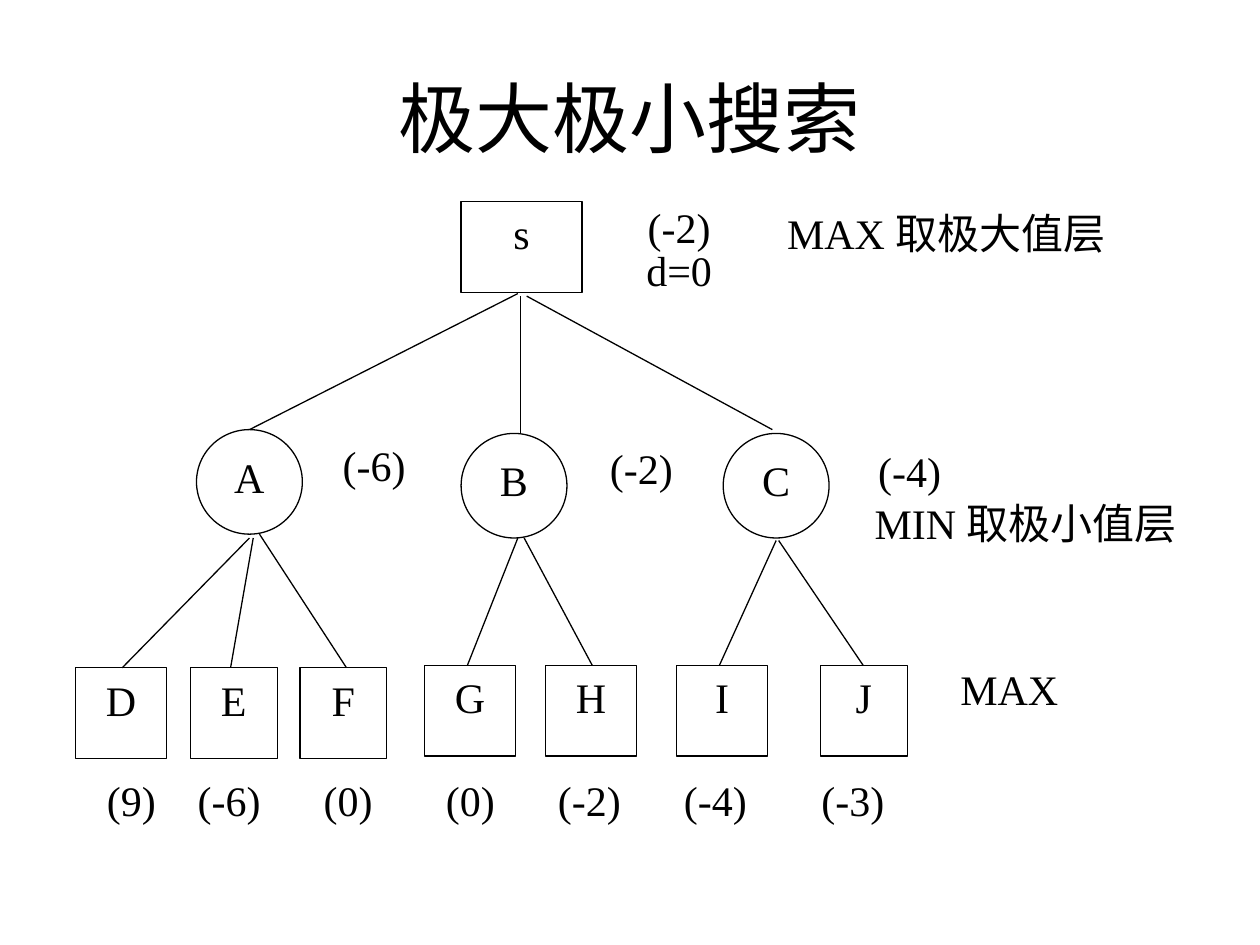
from dataclasses import dataclass

from lxml.etree import SubElement
from pptx import Presentation
from pptx.dml.color import RGBColor as RGB
from pptx.enum.shapes import MSO_CONNECTOR as Link, MSO_SHAPE as Kind
from pptx.enum.text import MSO_ANCHOR as Anchor, PP_ALIGN as Align
from pptx.oxml.ns import qn
from pptx.util import Inches, Pt


@dataclass(frozen=True)
class Theme:
    """Hold the colours, fonts and sizes."""
    ink: RGB = RGB(0, 0, 0)
    paper: RGB = RGB(255, 255, 255)
    head: str = "Calibri"
    body: str = "Times New Roman"
    big: Pt = Pt(44)
    base: Pt = Pt(24)
    rule: Pt = Pt(0.75)


LOOK = Theme()
BOXES = [
    ("s", 3.66, 1.6, 0.96),
    ("D", 0.6, 5.3, 0.72), ("E", 1.51, 5.3, 0.69), ("F", 2.38, 5.3, 0.69),
    ("G", 3.37, 5.28, 0.72), ("H", 4.33, 5.28, 0.72),
    ("I", 5.37, 5.28, 0.72), ("J", 6.51, 5.28, 0.69),
]
DISCS = [("A", 1.56, 3.41), ("B", 3.66, 3.44), ("C", 5.74, 3.44)]
EDGES = [
    (4.11, 2.33, 1.98, 3.41), (4.13, 2.35, 4.13, 3.44),
    (4.18, 2.35, 6.13, 3.41),
    (1.98, 4.27, 0.97, 5.3), (2.01, 4.27, 1.83, 5.3),
    (2.06, 4.24, 2.75, 5.3),
    (4.11, 4.27, 3.71, 5.28), (4.16, 4.27, 4.7, 5.28),
    (6.16, 4.29, 5.71, 5.28), (6.18, 4.29, 6.85, 5.28),
]
NOTES = [
    ("(-2)", 4.7, 1.55, 1.38), ("d=0", 4.7, 1.89, 1.38),
    ("MAX 取极大值层", 5.99, 1.6, 3.04),
    ("(-6)", 2.28, 3.44, 1.38), ("(-2)", 4.4, 3.46, 1.38),
    ("(-4)", 6.53, 3.49, 1.38), ("MIN 取极小值层", 6.78, 3.9, 2.72),
    ("MAX", 7.32, 5.22, 1.38),
]
SCORES = [
    ("(9)", 0.25), ("(-6)", 0.97), ("(0)", 1.97), ("(0)", 2.94),
    ("(-2)", 3.83), ("(-4)", 4.83), ("(-3)", 5.92),
]


def style(para, face=LOOK.body, size=LOOK.base, align=Align.CENTER):
    """Set the font and alignment of a paragraph."""
    para.alignment = align
    para.font.name = face
    para.font.size = size
    para.font.color.rgb = LOOK.ink


def add_text(slide, text, left, top, width, high=0.78):
    """Add a wrapped text box and return its frame."""
    box = slide.shapes.add_textbox(*map(Inches, (left, top, width, high)))
    frame = box.text_frame
    frame.word_wrap = True
    frame.text = text
    style(frame.paragraphs[0])
    return frame


def add_title(slide, text):
    """Add the centred slide title."""
    frame = add_text(slide, text, 0.5, 0.3, 9, 1.25)
    frame.vertical_anchor = Anchor.MIDDLE
    style(frame.paragraphs[0], LOOK.head, LOOK.big)


def add_node(slide, kind, text, left, top, width, high):
    """Add one outlined tree node."""
    node = slide.shapes.add_shape(kind, *map(Inches, (left, top, width, high)))
    node.shadow.inherit = False
    node.fill.solid()
    node.fill.fore_color.rgb = LOOK.paper
    node.line.color.rgb = LOOK.ink
    node.line.width = LOOK.rule
    frame = node.text_frame
    frame.vertical_anchor = Anchor.TOP
    frame.text = text
    style(frame.paragraphs[0])


def add_edge(slide, ends):
    """Add a plain line between two nodes."""
    edge = slide.shapes.add_connector(Link.STRAIGHT, *map(Inches, ends))
    edge.line.color.rgb = LOOK.ink
    edge.line.width = LOOK.rule
    SubElement(edge._element.spPr, qn("a:effectLst"))


def add_scores(slide):
    """Add the row of leaf scores on tab stops."""
    text = "".join("\t" + score for score, _ in SCORES)
    para = add_text(slide, text, 0.5, 6.1, 6.99, 0.96).paragraphs[0]
    props = para._p.get_or_add_pPr()
    tabs = props.makeelement(qn("a:tabLst"))
    props.insert(0, tabs)
    for _, stop in SCORES:
        SubElement(tabs, qn("a:tab"), pos=str(Inches(stop)), algn="l")
    style(para, align=Align.LEFT)


def main():
    """Build and save the slide."""
    deck = Presentation()
    deck.slide_width, deck.slide_height = Inches(10), Inches(7.5)
    slide = deck.slides.add_slide(deck.slide_layouts[6])
    add_title(slide, "极大极小搜索")
    for text, left, top, width in BOXES:
        add_node(slide, Kind.RECTANGLE, text, left, top, width, 0.72)
    for text, left, top in DISCS:
        add_node(slide, Kind.OVAL, text, left, top, 0.84, 0.83)
    add_scores(slide)
    for ends in EDGES:
        add_edge(slide, ends)
    for note in NOTES:
        add_text(slide, *note)
    deck.save("out.pptx")


if __name__ == "__main__":
    main()
